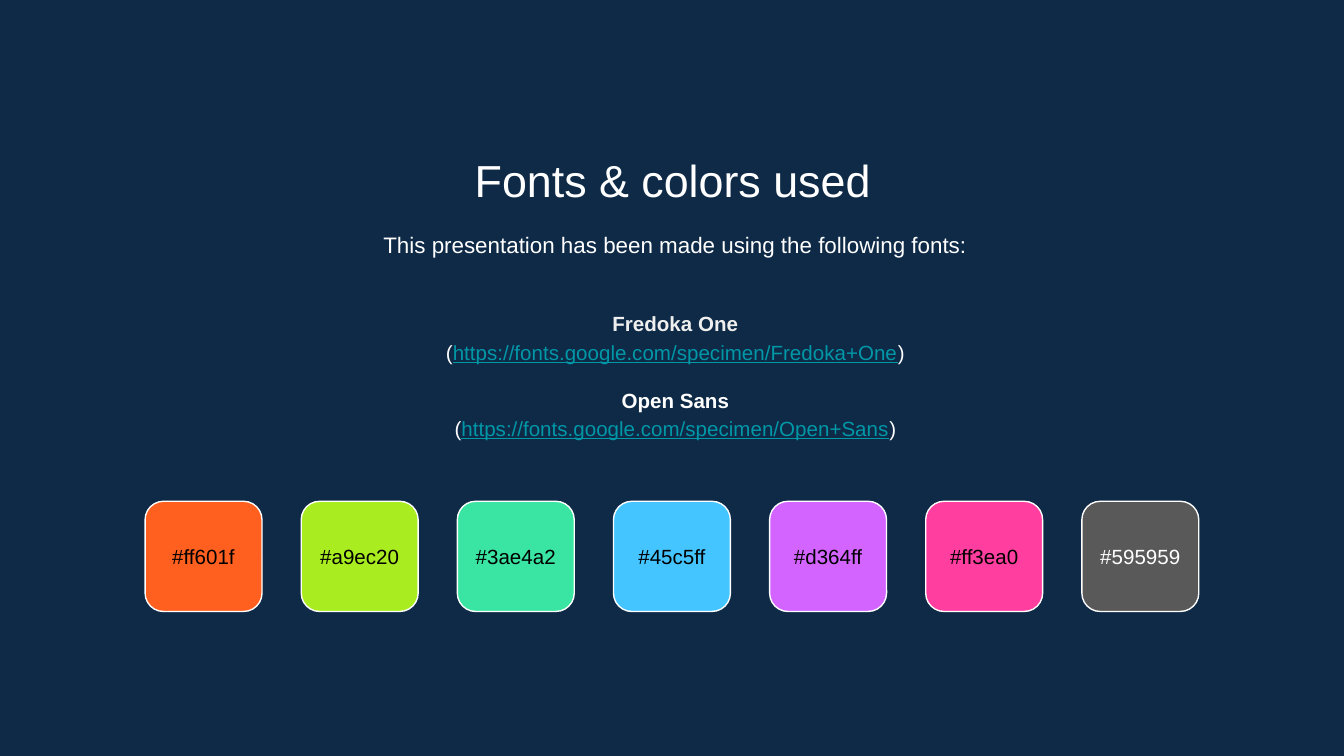
from pptx import Presentation
from pptx import util as u
from pptx.dml.color import RGBColor
from pptx.enum import shapes, text

WIDE = 10
HIGH = WIDE * 9 / 16
WHITE = "FFFFFF"
LINK = "0097A7"
SITE = "https://fonts.google.com/specimen/"
FONTS = [("Fredoka One", "EFEFEF"), ("Open Sans", WHITE)]
TONES = ["ff601f", "a9ec20", "3ae4a2", "45c5ff", "d364ff", "ff3ea0", "595959"]
TOP, MIDDLE = text.MSO_ANCHOR.TOP, text.MSO_ANCHOR.MIDDLE


def tint(code):
    return RGBColor.from_string(code.upper())


def place(box):
    return [u.Inches(v) for v in box]


def style(para, size, color, bold=False):
    para.alignment = text.PP_ALIGN.CENTER
    font = para.font
    font.name, font.size, font.bold = "Arial", u.Pt(size), bold
    font.color.rgb = tint(color)


def frame(slide, box, anchor):
    body = slide.shapes.add_textbox(*place(box)).text_frame
    body.word_wrap = True
    body.vertical_anchor = anchor
    body.margin_left = body.margin_right = u.Inches(0.1)
    body.margin_top = body.margin_bottom = u.Inches(0.1)
    return body


def add_line(slide, box, words, size, color=WHITE, anchor=TOP, space=1):
    para = frame(slide, box, anchor).paragraphs[0]
    para.text = words
    para.line_spacing = space
    style(para, size, color)


def add_fonts(slide, box):
    body = frame(slide, box, MIDDLE)
    for i, (name, color) in enumerate(FONTS):
        head = body.add_paragraph() if i else body.paragraphs[0]
        head.text = name
        head.line_spacing = 1.15
        if i:
            head.space_before = u.Pt(10.6)
        style(head, 11, color, True)
        link = body.add_paragraph()
        link.line_spacing = 1.15
        style(link, 11, WHITE)
        for part in ("(", SITE + name.replace(" ", "+"), ")"):
            run = link.add_run()
            run.text = part
            if part.startswith(SITE):
                run.font.underline = True
                run.font.color.rgb = tint(LINK)


def add_tones(slide, box):
    left, top, width, height = box
    size, label = 0.87, 0.48
    step = (width - size) / (len(TONES) - 1)
    for i, tone in enumerate(TONES):
        x = left + i * step
        tile = slide.shapes.add_shape(
            shapes.MSO_SHAPE.ROUNDED_RECTANGLE,
            *place((x, top, size, height)))
        tile.shadow.inherit = False
        tile.fill.solid()
        tile.fill.fore_color.rgb = tint(tone)
        tile.line.color.rgb = tint(WHITE)
        tile.line.width = u.Pt(0.75)
        color = WHITE if tone == TONES[-1] else "000000"
        spot = (x, top + (height - label) / 2, size, label)
        add_line(slide, spot, "#" + tone, 11, color, MIDDLE)


def main():
    deck = Presentation()
    deck.slide_width, deck.slide_height = place((WIDE, HIGH))
    slide = deck.slides.add_slide(deck.slide_layouts[6])
    back = slide.background.fill
    back.solid()
    back.fore_color.rgb = tint("0E2A47")
    left, width = 0.117 * WIDE, 0.771 * WIDE
    add_line(slide, (1.15, 1.04, width, 0.53), "Fonts & colors used", 24)
    add_line(slide, (left, 1.59, width, 0.48),
             "This presentation has been made using the following fonts:",
             12, space=1.15)
    add_fonts(slide, (left, 2.1, width, 1.37))
    add_tones(slide, (1.08, 3.73, 7.84, 0.82))
    deck.save("out.pptx")


if __name__ == "__main__":
    main()
